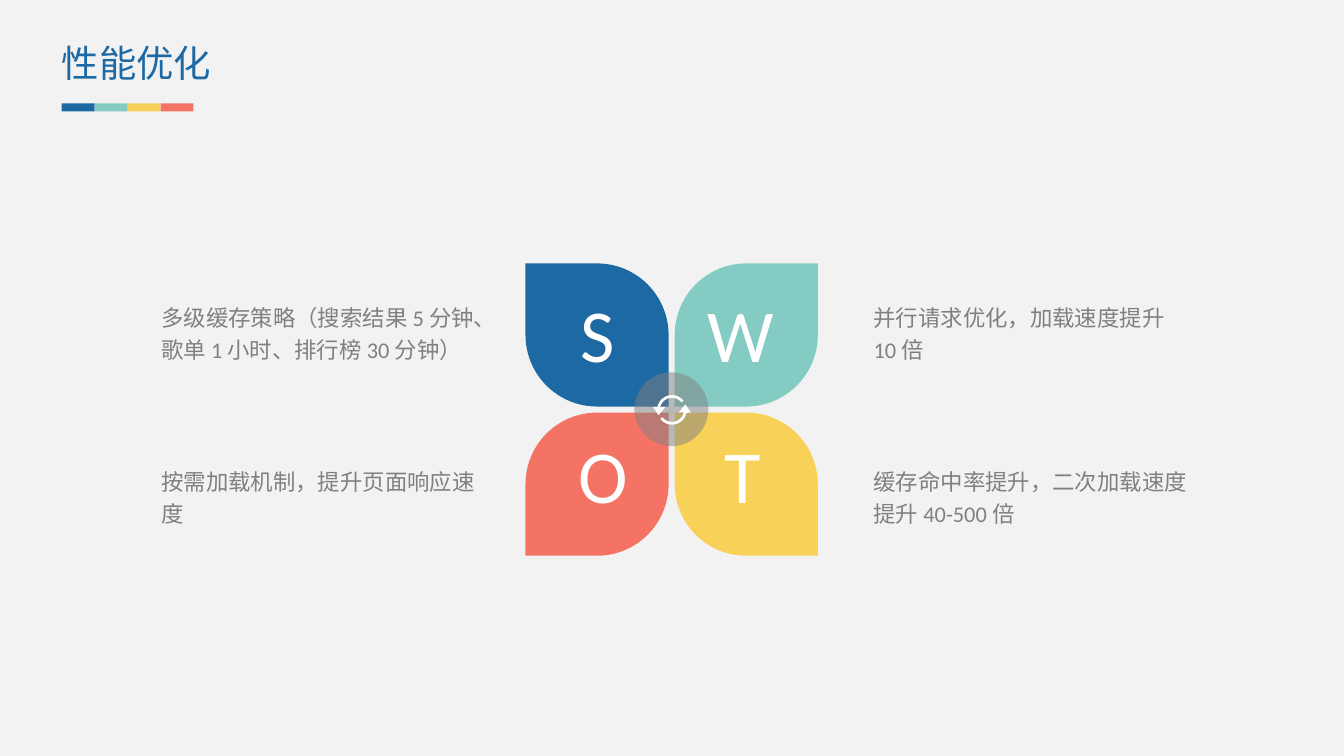
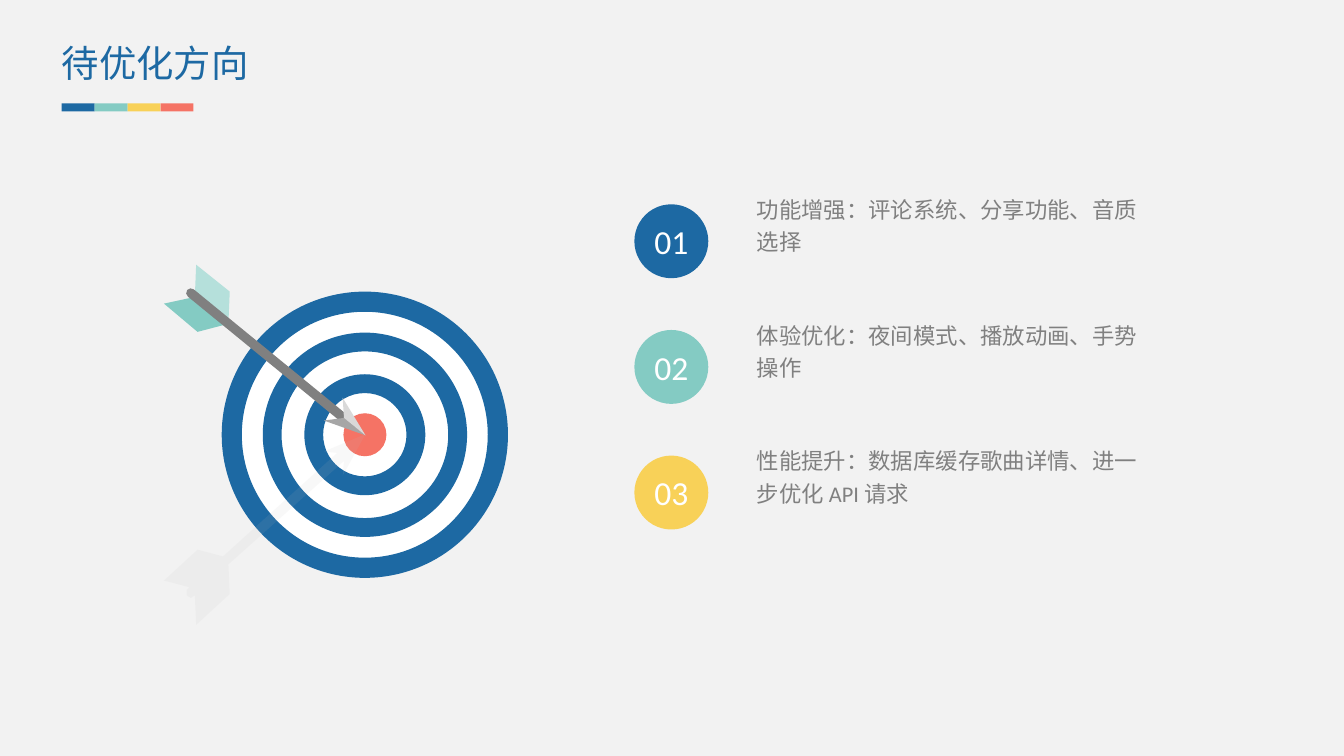
"""Build two slides: performance optimisation and next directions."""
from math import cos, radians, sin

from lxml import etree
from pptx import Presentation
from pptx.dml import color
from pptx.enum import shapes as kinds, text
from pptx.oxml import ns
from pptx.util import Inches, Pt

BLUE, TEAL, YELLOW, RED = PALETTE = ("1D69A3", "84CBC3", "F8D158", "F57365")
GREY, WHITE, PAPER = "808080", "FFFFFF", "F2F2F2"
LATIN, CJK = "Calibri", "Noto Sans CJK SC"
SHAPE = kinds.MSO_SHAPE
CENTER = text.PP_ALIGN.CENTER
TITLE = dict(size=20, hue=BLUE, font=CJK)
BODY = dict(size=12, hue=GREY, line_spacing=1.2, space_before=Pt(3))
LETTER = dict(size=40, hue=WHITE, alignment=CENTER)
NUMBER = dict(size=18, hue=WHITE, alignment=CENTER)


def rgb(hue):
    return color.RGBColor.from_string(hue)


def paint(sp, hue, alpha=None):
    sp.shadow.inherit = False
    sp.fill.solid()
    sp.fill.fore_color.rgb = rgb(hue)
    sp.line.fill.background()
    if alpha:
        clr = sp.fill._xPr.find(".//" + ns.qn("a:srgbClr"))
        etree.SubElement(clr, ns.qn("a:alpha"), val=str(alpha * 1000))
    return sp


def add_shape(shapes, kind, box, hue, alpha=None, adjust=()):
    sp = shapes.add_shape(kind, *map(Inches, box))
    for i, value in enumerate(adjust):
        sp.adjustments[i] = value
    return paint(sp, hue, alpha)


def add_outline(shapes, contours, hue, alpha=None):
    contours = [[(Inches(x), Inches(y)) for x, y in c] for c in contours]
    builder = shapes.build_freeform(*contours[0][0])
    for i, points in enumerate(contours):
        if i:
            builder.move_to(*points[0])
        builder.add_line_segments(points[1:], close=True)
    return paint(builder.convert_to_shape(), hue, alpha)


def write(sp, words, size, hue, font=LATIN, wrap=True,
          anchor=text.MSO_ANCHOR.TOP, grow=False, **paragraph):
    tf = sp.text_frame
    frame = dict(margin_left=0, margin_right=0, margin_top=0, margin_bottom=0,
                 word_wrap=wrap, vertical_anchor=anchor,
                 auto_size=text.MSO_AUTO_SIZE.SHAPE_TO_FIT_TEXT if grow
                 else text.MSO_AUTO_SIZE.NONE)
    for name, value in frame.items():
        setattr(tf, name, value)
    p = tf.paragraphs[0]
    for name, value in paragraph.items():
        setattr(p, name, value)
    r = p.add_run()
    r.text = words
    for name, value in dict(size=Pt(size), name=font, bold=False).items():
        setattr(r.font, name, value)
    r.font.color.rgb = rgb(hue)
    etree.SubElement(r._r.get_or_add_rPr(), ns.qn("a:ea"), typeface=CJK)


def add_text(s, box, words, style, **extra):
    write(s.shapes.add_textbox(*map(Inches, box)), words, **style, **extra)


def add_slide(prs, title):
    s = prs.slides.add_slide(prs.slide_layouts[5])
    sp = s.shapes.title
    box = dict(left=0.46, top=0.3, width=3.04, height=0.34)
    for name, value in box.items():
        setattr(sp, name, Inches(value))
    write(sp, title, **TITLE, grow=True, alignment=text.PP_ALIGN.LEFT,
          line_spacing=1.0, space_before=Pt(0))
    band = s.shapes.add_group_shape().shapes
    for i, hue in enumerate(PALETTE):
        add_shape(band, SHAPE.RECTANGLE,
                  (0.46 + i * 0.245, 0.77, 0.245, 0.06), hue)
    return s


def add_refresh_icon(s, cx, cy):
    arc = range(12, 143, 10)
    ring = [(r * cos(radians(a)), r * sin(radians(a)))
            for r, angles in ((0.11, arc), (0.09, reversed(arc)))
            for a in angles]
    arrow = ring + [(0.05, 0.02), (0.1, -0.04), (0.14, 0.02)]
    add_outline(s.shapes, [[(cx + k * x, cy + k * y) for x, y in arrow]
                           for k in (1, -1)], WHITE)


def add_petals(s):
    petals = (("S", 4.32, 0.26, BLUE), ("W", 5.26, 0.5, TEAL),
              ("O", 4.3, 0.37, RED), ("T", 5.39, 0.27, YELLOW))
    for i, (letter, left, width, hue) in enumerate(petals):
        row, col = divmod(i, 2)
        adjust = (0, 0.5) if row == col else (0.5, 0)
        add_shape(s.shapes, SHAPE.ROUND_2_DIAG_RECTANGLE,
                  (3.91 + col * 1.11, 1.96 + row * 1.11, 1.065, 1.065),
                  hue, adjust=adjust)
        add_text(s, (left, 2.14 + row * 1.05, width, 0.67), letter, LETTER,
                 wrap=False, grow=True)
    add_shape(s.shapes, SHAPE.OVAL, (4.72, 2.77, 0.55, 0.55), GREY, 50)
    add_refresh_icon(s, 5, 3.05)


def add_target(s):
    cx, cy = 2.715, 3.235
    target = s.shapes.add_group_shape().shapes
    rings = ((SHAPE.OVAL, 2.11, WHITE, 0), (SHAPE.OVAL, 0.32, RED, 0),
             (SHAPE.DONUT, 2.13, BLUE, 0.15), (SHAPE.DONUT, 1.52, BLUE, 0.14),
             (SHAPE.DONUT, 0.9, BLUE, 0.14))
    for kind, d, hue, band in rings:
        add_shape(target, kind, (cx - d / 2, cy - d / 2, d, d), hue,
                  adjust=(band / d,) if band else ())


def add_shaft(shapes, start, end):
    line = shapes.add_connector(kinds.MSO_CONNECTOR.STRAIGHT,
                                *map(Inches, start + end))
    line.line.color.rgb = rgb(GREY)
    line.line.width = Pt(5)
    line.line._get_or_add_ln().set("cap", "rnd")
    etree.SubElement(line._element.spPr, ns.qn("a:effectLst"))


def add_arrow(s):
    arrow = s.shapes.add_group_shape().shapes
    feathers = (([(1.7, 2.41), (1.47, 2.47), (1.22, 2.26), (1.45, 2.21)], TEAL),
                ([(1.7, 2.41), (1.71, 2.17), (1.46, 1.97), (1.45, 2.21)],
                 "B5E0DB"))
    tips = (([(2.41, 3.13), (2.72, 3.24), (2.56, 3.11)], "A6A6A6"),
            ([(2.56, 3.11), (2.72, 3.24), (2.55, 2.96)], "D9D9D9"))
    shade = [(2.72, 3.23), (2.55, 3.54), (2.56, 3.43), (1.7, 4.2),
             (1.71, 4.42), (1.46, 4.65), (1.45, 4.43), (1.42, 4.45),
             (1.39, 4.43), (1.39, 4.39), (1.41, 4.37), (1.22, 4.32),
             (1.47, 4.09), (1.66, 4.14), (2.51, 3.37), (2.41, 3.36)]
    for points, hue in feathers:
        add_outline(arrow, [points], hue)
    add_shaft(arrow, (1.42, 2.18), (2.63, 3.17))
    for points, hue in tips:
        add_outline(arrow, [points], hue)
    add_outline(arrow, [shade], "BFBFBF", 10)


def add_directions(s, items):
    for i, (words, height) in enumerate(items):
        top = 1.42 + i * 0.935
        add_text(s, (5.63, top, 2.91, height), words, BODY)
        sp = add_shape(s.shapes, SHAPE.OVAL, (4.72, top + 0.1, 0.55, 0.55),
                       PALETTE[i])
        write(sp, f"{i + 1:02}", **NUMBER, anchor=text.MSO_ANCHOR.MIDDLE)


def main():
    prs = Presentation()
    prs.slide_width = Inches(10)
    prs.slide_height = prs.slide_width * 9 // 16
    fill = prs.slide_master.background.fill
    fill.solid()
    fill.fore_color.rgb = rgb(PAPER)

    s = add_slide(prs, "性能优化")
    add_petals(s)
    notes = (("多级缓存策略（搜索结果 5 分钟、歌单 1 小时、排行榜 30 分钟）", 0.71),
             ("并行请求优化，加载速度提升 10 倍", 0.59),
             ("按需加载机制，提升页面响应速度", 0.61),
             ("缓存命中率提升，二次加载速度提升 40-500 倍", 0.69))
    for i, (words, height) in enumerate(notes):
        row, col = divmod(i, 2)
        add_text(s, (1.2 + col * 5.3, 2.22 + row * 1.22, 2.38 - col * 0.04,
                     height), words, BODY)

    s = add_slide(prs, "待优化方向")
    add_target(s)
    add_arrow(s)
    add_directions(s, (("功能增强：评论系统、分享功能、音质选择", 0.54),
                       ("体验优化：夜间模式、播放动画、手势操作", 0.55),
                       ("性能提升：数据库缓存歌曲详情、进一步优化 API 请求", 0.66)))
    prs.save("out.pptx")


if __name__ == "__main__":
    main()
